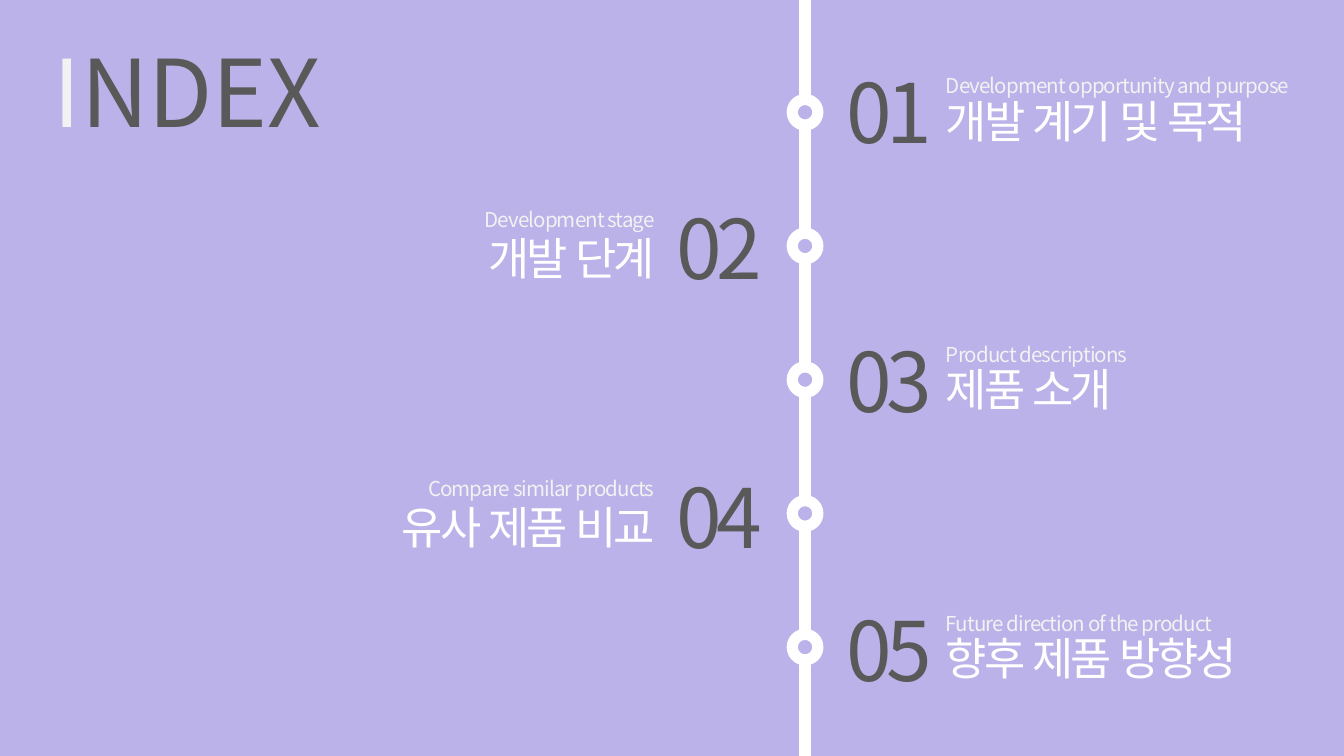
from pptx import Presentation
from pptx import util as u
from pptx.dml.color import RGBColor
from pptx.enum import lang, shapes, text
from pptx.oxml import ns, xmlchemy as xml

LILAC = RGBColor(0xBB, 0xB2, 0xE9)
WHITE = RGBColor(0xFF, 0xFF, 0xFF)
PALE = RGBColor(0xF2, 0xF2, 0xF2)
GRAY = RGBColor(0x59, 0x59, 0x59)
FACE = "Noto Sans CJK KR"
WIDE = u.Inches(10)
HIGH = WIDE * 9 // 16
PITCH, TALL, DOT = 1, 0.73, 0.19
AXIS = 5.99
LEFT, MID, RIGHT = text.PP_ALIGN.LEFT, text.PP_ALIGN.CENTER, text.PP_ALIGN.RIGHT
FRAME = {
    "word_wrap": True,
    "auto_size": text.MSO_AUTO_SIZE.NONE,
    "vertical_anchor": text.MSO_ANCHOR.MIDDLE,
    "margin_left": u.Inches(0.1),
    "margin_right": u.Inches(0.1),
    "margin_top": u.Inches(0.1),
    "margin_bottom": u.Inches(0.1),
}
NUM = {"size": 44, "color": GRAY, "space": -300}
NAME = {"size": 24, "color": WHITE, "space": -150}
NOTE = {"size": 11, "color": PALE, "space": -50}
ITEMS = [
    ("개발 계기 및 목적", "Development opportunity and purpose"),
    ("개발 단계", "Development stage"),
    ("제품 소개", "Product descriptions"),
    ("유사 제품 비교", "Compare similar products"),
    ("향후 제품 방향성", "Future direction of the product"),
]


def add_run(para, words, size, color, space=0):
    """Add one styled run to a paragraph."""
    run = para.add_run()
    run.text = words
    form = {"size": u.Pt(size), "name": FACE, "language_id": lang.MSO_LANGUAGE_ID.KOREAN}
    for key, val in form.items():
        setattr(run.font, key, val)
    run.font.color.rgb = color
    props = run.font._rPr
    props.set("spc", str(space))
    east = xml.OxmlElement("a:ea")
    east.set("typeface", FACE)
    props.find(ns.qn("a:latin")).addnext(east)


def set_frame(box, align):
    """Format a text frame and return its first paragraph."""
    for key, val in FRAME.items():
        setattr(box.text_frame, key, val)
    para = box.text_frame.paragraphs[0]
    para.alignment = align
    return para


def add_label(slide, words, left, top, width, align, style):
    """Add a one-line text box."""
    box = slide.shapes.add_textbox(*map(u.Inches, (left, top, width, TALL)))
    add_run(set_frame(box, align), words, **style)


def add_title(slide):
    """Fill the title with its two-tone heading."""
    title = slide.shapes.title
    spot = {"left": 0.3, "top": 0.31, "width": 5.18, "height": TALL}
    for key, val in spot.items():
        setattr(title, key, u.Inches(val))
    para = set_frame(title, LEFT)
    add_run(para, "I", 50, PALE)
    add_run(para, "NDEX", 50, GRAY)


def set_line(shape):
    """Give a shape the thick white line."""
    shape.line.color.rgb = WHITE
    shape.line.width = u.Pt(6)


def add_axis(slide):
    """Draw the vertical timeline."""
    mid = u.Inches(AXIS)
    line = slide.shapes.add_connector(shapes.MSO_CONNECTOR.STRAIGHT, mid, 0, mid, HIGH)
    set_line(line)
    line._element.spPr.append(xml.OxmlElement("a:effectLst"))


def add_dot(slide, top):
    """Draw one ring on the timeline."""
    area = map(u.Inches, (AXIS - DOT / 2, top, DOT, DOT))
    dot = slide.shapes.add_shape(shapes.MSO_SHAPE.OVAL, *area)
    dot.shadow.inherit = False
    dot.fill.solid()
    dot.fill.fore_color.rgb = LILAC
    set_line(dot)


def add_item(slide, row, name, note):
    """Add an entry, right of the line on even rows and left on odd."""
    top = row * PITCH
    add_dot(slide, row * PITCH + 0.74 - row * 0.005)
    if row % 2:
        num, edge, rise, low, align = 4.89, 4.97, 0.47, 0.55, RIGHT
    else:
        num, edge, rise, low, align = 6.16, 6.94, 0.46, 0.53, LEFT
    add_label(slide, f"{row + 1:02}", num, top + rise, 0.92, MID, NUM)
    for words, drop, width, style in ((name, low, 2.72, NAME), (note, 0.27, 3, NOTE)):
        left = edge - width if align == RIGHT else edge
        add_label(slide, words, left, top + drop, width, align, style)


def main():
    """Build the index slide."""
    deck = Presentation()
    deck.slide_width, deck.slide_height = WIDE, HIGH
    slide = deck.slides.add_slide(deck.slide_layouts[5])
    slide.background.fill.solid()
    slide.background.fill.fore_color.rgb = LILAC
    add_title(slide)
    add_axis(slide)
    for row, (name, note) in enumerate(ITEMS):
        add_item(slide, row, name, note)
    deck.save("out.pptx")


if __name__ == "__main__":
    main()
